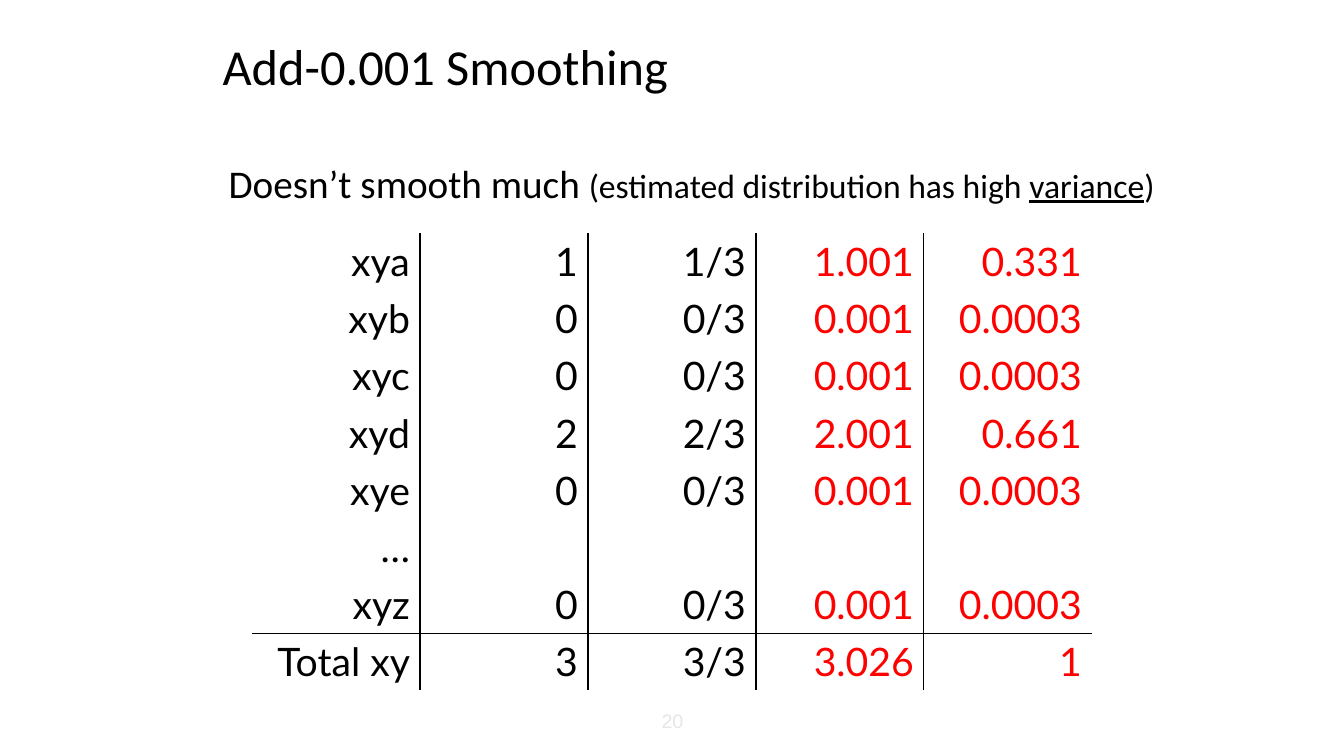
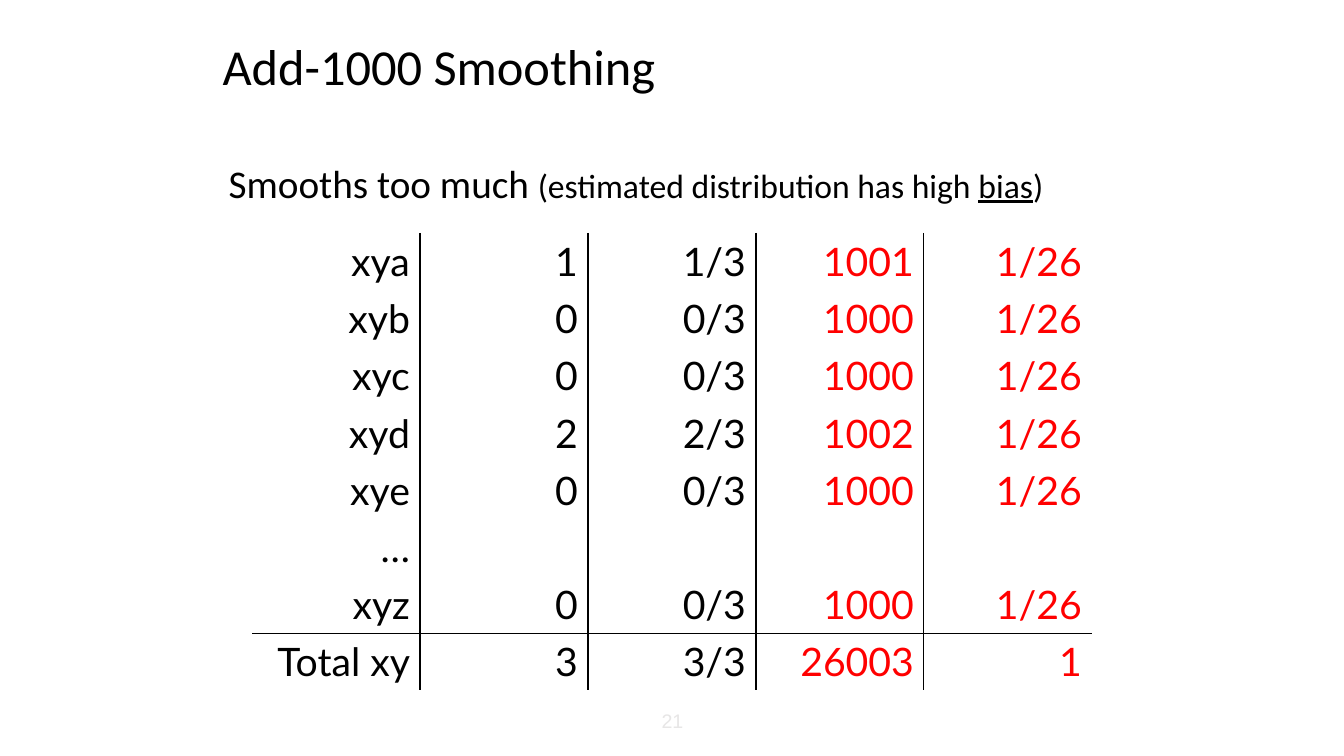
"""Build two slides that compare weak and strong add-lambda smoothing."""
from lxml import etree
from pptx import Presentation
from pptx.dml.color import RGBColor
from pptx.enum.text import MSO_ANCHOR, PP_ALIGN
from pptx.oxml.ns import qn
from pptx.util import Inches, Pt

TOP, MID = MSO_ANCHOR.TOP, MSO_ANCHOR.MIDDLE
LEFT, CENTER, RIGHT = PP_ALIGN.LEFT, PP_ALIGN.CENTER, PP_ALIGN.RIGHT

COLORS = {"ink": "000000", "new": "FF0000", "page": "E7E6E6"}
HEAD, CELL, FOOT = "Calibri", "Lato", "Arial"

COUNTS = [
    ("xya", "1", "1/3"),
    ("xyb", "0", "0/3"),
    ("xyc", "0", "0/3"),
    ("xyd", "2", "2/3"),
    ("xye", "0", "0/3"),
    ("…", "", ""),
    ("xyz", "0", "0/3"),
    ("Total xy", "3", "3/3"),
]

SLIDES = [
    {
        "title": "Add-0.001 Smoothing",
        "claim": "Doesn’t smooth much ",
        "term": "variance",
        "page": "20",
        "smooth": [
            ("1.001", "0.331"), ("0.001", "0.0003"), ("0.001", "0.0003"),
            ("2.001", "0.661"), ("0.001", "0.0003"), ("", ""),
            ("0.001", "0.0003"), ("3.026", "1"),
        ],
    },
    {
        "title": "Add-1000 Smoothing",
        "claim": "Smooths too much ",
        "term": "bias",
        "page": "21",
        "smooth": [
            ("1001", "1/26"), ("1000", "1/26"), ("1000", "1/26"),
            ("1002", "1/26"), ("1000", "1/26"), ("", ""),
            ("1000", "1/26"), ("26003", "1"),
        ],
    },
]


def write(frame, runs, size=28, font=HEAD, color="ink", align=LEFT, line=None):
    """Fill a text frame with one paragraph of (text, format) runs."""
    frame.word_wrap = True
    para = frame.paragraphs[0]
    para.alignment = align
    para.line_spacing = line
    for text, form in runs:
        run = para.add_run()
        run.text = text
        run.font.name = font
        run.font.size = Pt(form.get("size", size))
        run.font.underline = form.get("under", False)
        run.font.color.rgb = RGBColor.from_string(COLORS[color])


def box(slide, place, runs, anchor=TOP, **form):
    """Add a text box at place, given in inches."""
    frame = slide.shapes.add_textbox(*map(Inches, place)).text_frame
    frame.vertical_anchor = anchor
    write(frame, runs, **form)


def rule(cell, sides):
    """Draw the named sides of a cell and clear the others."""
    props = cell._tc.get_or_add_tcPr()
    for side in "LRTB":
        edge = etree.SubElement(props, qn(f"a:ln{side}"), w=str(Pt(1)))
        if side in sides:
            fill = etree.SubElement(edge, qn("a:solidFill"))
            etree.SubElement(fill, qn("a:srgbClr"), val=COLORS["ink"])
        else:
            etree.SubElement(edge, qn("a:noFill"))


def grid(slide, rows):
    """Add the table with inner column rules and a rule above the total."""
    high, wide = len(rows), len(rows[0])
    place = map(Inches, (2.5, 2.31, 8.33, 4.53))
    table = slide.shapes.add_table(high, wide, *place).table
    table.first_row = table.horz_banding = False
    for r, row in enumerate(rows):
        for c, text in enumerate(row):
            cell = table.cell(r, c)
            sides = {"L": c > 0, "R": c < wide - 1,
                     "T": r == high - 1, "B": r == high - 2}
            rule(cell, [side for side, on in sides.items() if on])
            cell.fill.background()
            write(cell.text_frame, [(text, {})] if text else [], font=CELL,
                  color="new" if c > 2 else "ink", align=RIGHT)


def main():
    """Build and save the slides."""
    deck = Presentation()
    deck.slide_width, deck.slide_height = Inches(13.33), Inches(7.5)
    for data in SLIDES:
        slide = deck.slides.add_slide(deck.slide_layouts[6])
        box(slide, (2.11, 0.06, 9.56, 1.25), [(data["title"], {})],
            anchor=MID, size=36, line=0.9)
        grid(slide, [a + b for a, b in zip(COUNTS, data["smooth"])])
        claim = [
            (data["claim"], {}),
            ("(estimated distribution has high ", {"size": 24}),
            (data["term"], {"size": 24, "under": True}),
            (")", {"size": 24}),
        ]
        box(slide, (2.17, 1.58, 9.5, 5.08), claim, line=0.9)
        box(slide, (5.67, 6.95, 2, 0.4), [(data["page"], {})],
            anchor=MID, size=14, font=FOOT, color="page", align=CENTER)
    deck.save("out.pptx")


if __name__ == "__main__":
    main()
